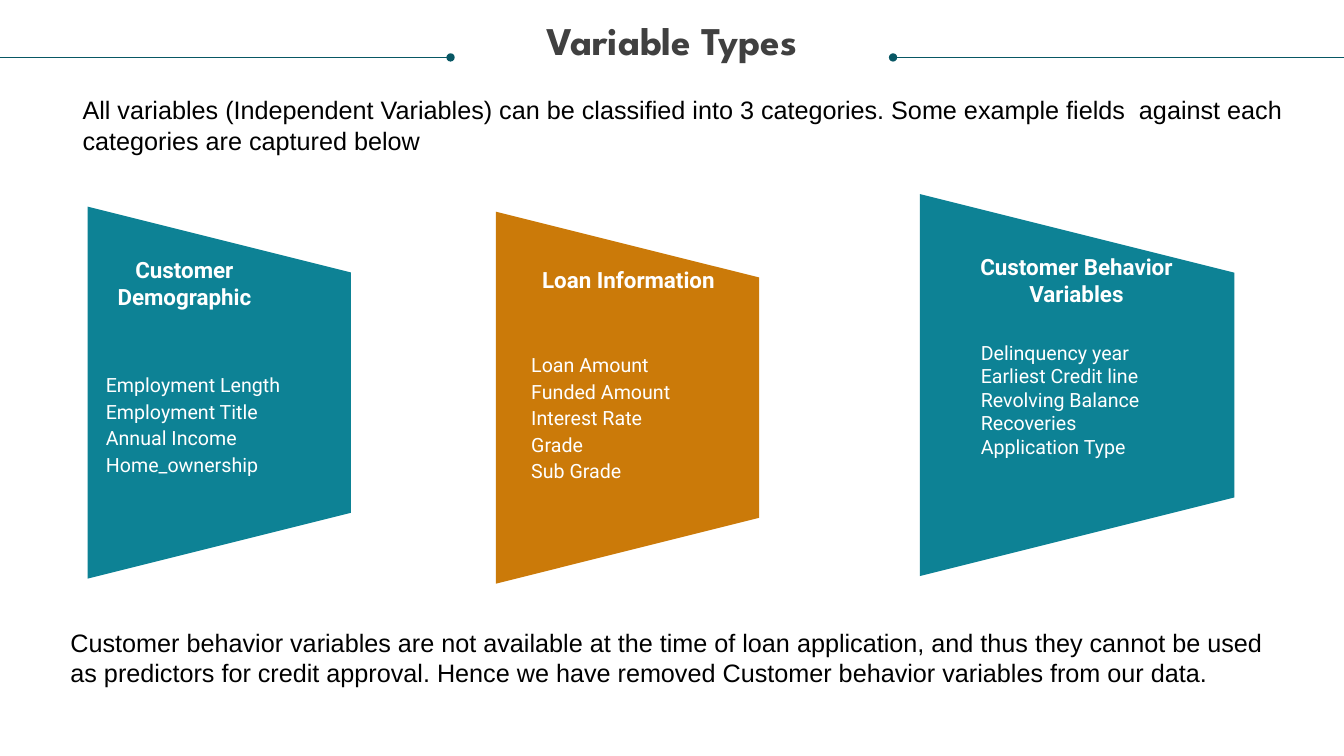
from dataclasses import dataclass
from typing import Any

import lxml.etree
import pptx
import pptx.dml.color
import pptx.enum.shapes
import pptx.enum.text
import pptx.oxml.ns
import pptx.util

Pt = pptx.util.Pt
Align = pptx.enum.text.PP_ALIGN
WHITE, BLACK, GREY = "FFFFFF", "000000", "404040"
TEAL, ORANGE, DARK_TEAL = "0D8295", "CB7A09", "085764"
NO_INSETS = (0, 0)
BODY_INSETS = (7.2, 3.6)
HEADING_FONT = {"name": "Roboto", "size": Pt(16), "bold": True}
FIELD_FONT = {"name": "Roboto", "size": Pt(14), "bold": False}
BODY_FONT = {"name": "Arial", "size": Pt(18), "bold": False}
TITLE_FONT = {"name": "League Spartan", "size": Pt(28), "bold": True}


@dataclass(frozen=True)
class Box:
    left: float
    top: float
    width: float
    height: float


@dataclass(frozen=True)
class Category:
    panel: Box
    color: str
    heading: str
    heading_box: Box
    fields: list[str]
    fields_box: Box
    line_spacing: Any


@dataclass(frozen=True)
class TitleRule:
    start: float
    end: float
    dotted_end: str


CATEGORIES = [
    Category(Box(62.64, 147.6, 187.92, 265.68), TEAL,
             "Customer Demographic", Box(77.76, 182.88, 108, 38.88),
             ["Employment Length", "Employment Title", "Annual Income", "Home_ownership"],
             Box(75.6, 264.24, 138.24, 94.32), Pt(19)),
    Category(Box(354.24, 151.2, 187.92, 265.68), ORANGE,
             "Loan Information", Box(383.04, 190.08, 131.76, 19.44),
             ["Loan Amount", "Funded Amount", "Interest Rate", "Grade", "Sub Grade"],
             Box(379.44, 249.84, 138.24, 113.76), Pt(19)),
    Category(Box(657, 138.6, 224.64, 272.88), TEAL,
             "Customer Behavior Variables", Box(677.52, 180.72, 182.88, 38.88),
             ["Delinquency year", "Earliest Credit line", "Revolving Balance",
              "Recoveries", "Application Type"],
             Box(700.56, 243.36, 138.24, 136.08), 1.0),
]
TITLE_RULES = [TitleRule(637.92, 960, "headEnd"), TitleRule(0, 321.84, "tailEnd")]
STATEMENTS = [
    ("All variables (Independent Variables) can be classified into 3 categories. "
     "Some example fields  against each categories are captured below",
     Box(51.84, 64.08, 884.16, 51.12)),
    ("Customer behavior variables are not available at the time of loan application, "
     "and thus they cannot be used as predictors for credit approval. "
     "Hence we have removed Customer behavior variables from our data.",
     Box(43.2, 444.24, 884.16, 51.12)),
]


def rgb(value: str) -> pptx.dml.color.RGBColor:
    return pptx.dml.color.RGBColor.from_string(value)


def set_attributes(target: Any, values: dict[str, Any]) -> None:
    for name, value in values.items():
        setattr(target, name, value)


def place(shape: Any, box: Box) -> None:
    set_attributes(shape, {"left": Pt(box.left), "top": Pt(box.top),
                           "width": Pt(box.width), "height": Pt(box.height)})


def write(shape: Any, lines: list[str], font: dict[str, Any], color: str,
          alignment: Any = Align.LEFT, line_spacing: Any = 1.0,
          insets: tuple[float, float] = NO_INSETS) -> None:
    side, edge = (Pt(inset) for inset in insets)
    frame = shape.text_frame
    set_attributes(frame, {
        "word_wrap": True,
        "auto_size": pptx.enum.text.MSO_AUTO_SIZE.NONE,
        "vertical_anchor": pptx.enum.text.MSO_ANCHOR.TOP,
        "margin_left": side, "margin_right": side,
        "margin_top": edge, "margin_bottom": edge,
    })
    frame.text = "\n".join(lines)
    for paragraph in frame.paragraphs:
        set_attributes(paragraph, {"alignment": alignment, "line_spacing": line_spacing,
                                   "space_before": Pt(0), "space_after": Pt(0)})
        for run in paragraph.runs:
            set_attributes(run.font, font)
            run.font.color.rgb = rgb(color)


def add_text(slide: Any, box: Box) -> Any:
    return slide.shapes.add_textbox(Pt(box.left), Pt(box.top), Pt(box.width), Pt(box.height))


def draw_title(slide: Any) -> None:
    title = slide.shapes.title
    place(title, Box(18, 15.12, 923.76, 61.2))
    write(title, ["Variable Types"], TITLE_FONT, GREY, Align.CENTER, 0.9)


def draw_rule(slide: Any, rule: TitleRule) -> None:
    height = Pt(41.04)
    connector = slide.shapes.add_connector(
        pptx.enum.shapes.MSO_CONNECTOR.STRAIGHT, Pt(rule.start), height, Pt(rule.end), height)
    connector.line.width = Pt(0.5)
    connector.line.color.rgb = rgb(DARK_TEAL)
    qn = pptx.oxml.ns.qn
    outline = connector.line._get_or_add_ln()
    lxml.etree.SubElement(outline, qn(f"a:{rule.dotted_end}"), type="oval")
    lxml.etree.SubElement(connector._element.spPr, qn("a:effectLst"))


def draw_panel(slide: Any, panel: Box, color: str) -> None:
    shift = (panel.height - panel.width) / 2
    shape = slide.shapes.add_shape(
        pptx.enum.shapes.MSO_SHAPE.TRAPEZOID, Pt(panel.left - shift), Pt(panel.top + shift),
        Pt(panel.height), Pt(panel.width))
    shape.rotation = 90
    shape.shadow.inherit = False
    shape.fill.solid()
    shape.fill.fore_color.rgb = rgb(color)
    shape.line.fill.background()


def draw_category(slide: Any, category: Category) -> None:
    draw_panel(slide, category.panel, category.color)
    write(add_text(slide, category.heading_box), [category.heading],
          HEADING_FONT, WHITE, Align.CENTER)
    write(add_text(slide, category.fields_box), category.fields,
          FIELD_FONT, WHITE, line_spacing=category.line_spacing)


def main() -> None:
    presentation = pptx.Presentation()
    set_attributes(presentation, {"slide_width": Pt(960), "slide_height": Pt(540)})
    slide = presentation.slides.add_slide(presentation.slide_layouts[5])
    draw_title(slide)
    for rule in TITLE_RULES:
        draw_rule(slide, rule)
    for category in CATEGORIES:
        draw_category(slide, category)
    for statement, box in STATEMENTS:
        write(add_text(slide, box), [statement], BODY_FONT, BLACK, insets=BODY_INSETS)
    presentation.save("out.pptx")


if __name__ == "__main__":
    main()
